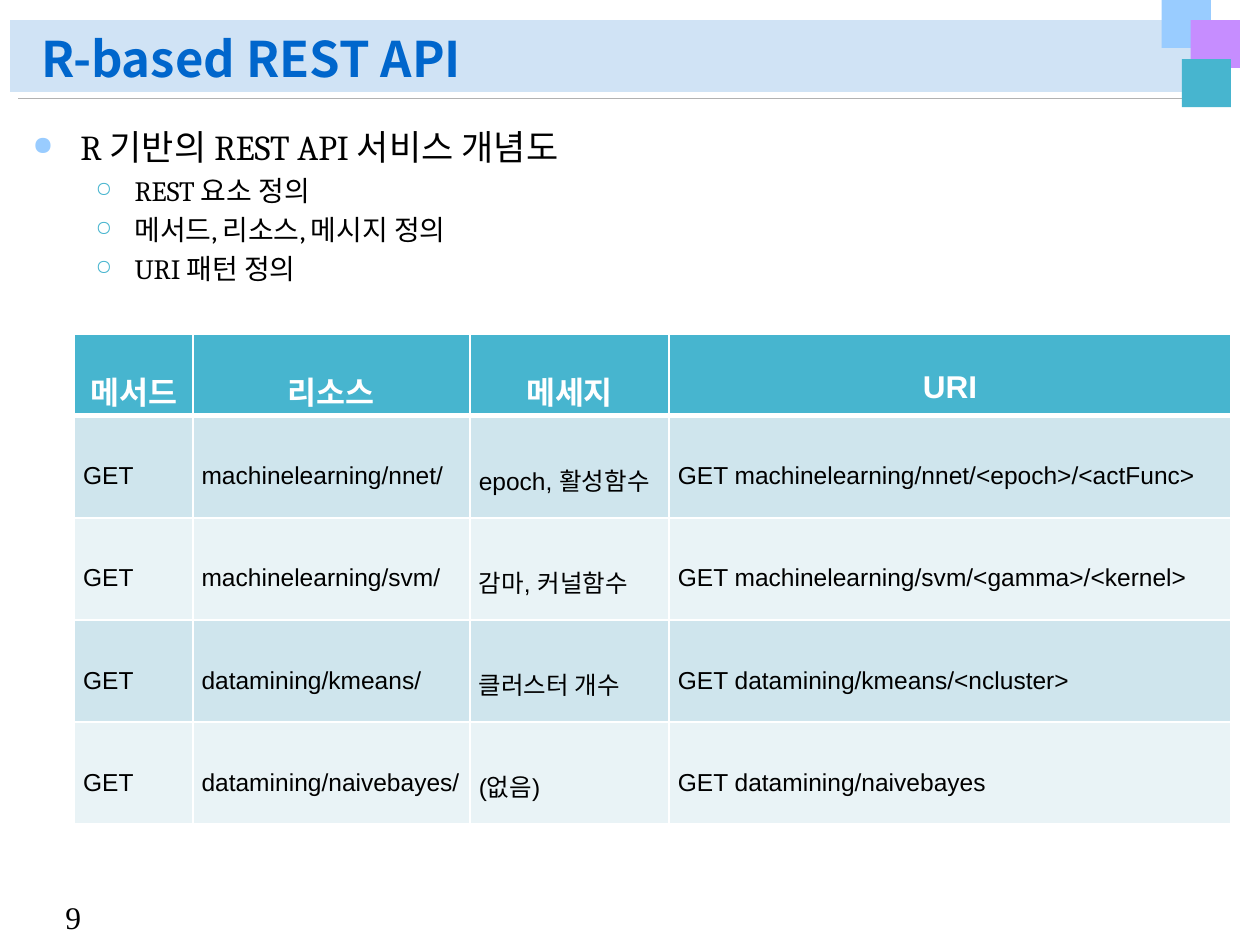
import pptx
import pptx.util
import pptx.dml.color
import pptx.enum.shapes
import pptx.enum.text
import pptx.oxml
import pptx.oxml.ns
from lxml import etree

Inches, Pt = pptx.util.Inches, pptx.util.Pt
qn = pptx.oxml.ns.qn
ALIGN, ANCHOR = pptx.enum.text.PP_ALIGN, pptx.enum.text.MSO_ANCHOR

# Content
TITLE = "R-based REST API"
PAGE = "9"
BULLETS = [
    (0, "R 기반의 REST API 서비스 개념도"),
    (1, "REST 요소 정의"),
    (1, "메서드, 리소스, 메시지 정의"),
    (1, "URI 패턴 정의"),
]
# Per level: bullet, bullet colour, size, left margin, hanging indent
LEVELS = [("●", "99CCFF", 20, 0.38, 0.38), ("○", "47B5CF", 16, 0.81, 0.31)]
ROWS = [
    ("메서드", "리소스", "메세지", "URI"),
    ("GET", "machinelearning/nnet/", "epoch, 활성함수",
     "GET machinelearning/nnet/<epoch>/<actFunc>"),
    ("GET", "machinelearning/svm/", "감마, 커널함수",
     "GET machinelearning/svm/<gamma>/<kernel>"),
    ("GET", "datamining/kmeans/", "클러스터 개수",
     "GET datamining/kmeans/<ncluster>"),
    ("GET", "datamining/naivebayes/", "(없음)", "GET datamining/naivebayes"),
]
COL_WIDTHS = [0.94, 2.2, 1.58, 4.46]
HEADER_HEIGHT, ROW_HEIGHT = 0.65, 0.81  # the header holds a full 1.7-spaced line
HEADER_FILL, BAND_FILLS = "47B5CF", ("CFE5ED", "E9F3F6")
BAND = (0.08, 0.16, 9.69, 0.57, "D0E3F5")
SQUARES = [(9.22, 0, "99CCFF"), (9.45, 0.16, "C68DFF"), (9.38, 0.47, "47B5CF")]


def rgb(color):
    return pptx.dml.color.RGBColor.from_string(color)


def style(p, size, name, color, bold=False):
    font = p.font
    font.size, font.name, font.bold = Pt(size), name, bold
    font.color.rgb = rgb(color)
    props = p._p.get_or_add_pPr().find(qn("a:defRPr"))
    etree.SubElement(props, qn("a:ea"), typeface="Noto Sans CJK KR")


def add_rect(x, y, w, h, color):
    sp = s.shapes.add_shape(pptx.enum.shapes.MSO_SHAPE.RECTANGLE,
                            Inches(x), Inches(y), Inches(w), Inches(h))
    sp.shadow.inherit = False
    sp.fill.solid()
    sp.fill.fore_color.rgb = rgb(color)
    sp.line.fill.background()


def add_text(x, y, w, h, wrap=True):
    tf = s.shapes.add_textbox(Inches(x), Inches(y), Inches(w), Inches(h)).text_frame
    tf.word_wrap = wrap
    return tf


def set_bullet(p, char, color, margin, hanging):
    props = p._p.get_or_add_pPr()
    props.set("marL", str(Inches(margin)))
    props.set("indent", str(-Inches(hanging)))
    bullet = pptx.oxml.parse_xml(
        f'<a:pPr {pptx.oxml.ns.nsdecls("a")}>'
        f'<a:buClr><a:srgbClr val="{color}"/></a:buClr>'
        f'<a:buSzPct val="75000"/><a:buChar char="{char}"/></a:pPr>')
    before = props.find(qn("a:defRPr"))
    for child in list(bullet):
        before.addprevious(child)


def set_borders(cell, top, bottom):
    props = cell._tc.get_or_add_tcPr()
    widths = {"lnL": 1, "lnR": 1, "lnT": top, "lnB": bottom}
    for i, (side, width) in enumerate(widths.items()):
        props.insert(i, pptx.oxml.parse_xml(
            f'<a:{side} {pptx.oxml.ns.nsdecls("a")} w="{Pt(width)}">'
            f'<a:solidFill><a:srgbClr val="FFFFFF"/></a:solidFill></a:{side}>'))


prs = pptx.Presentation()
prs.slide_width, prs.slide_height = Inches(10), Inches(7.5)
s = prs.slides.add_slide(prs.slide_layouts[6])

# Title band, rule and corner squares
add_rect(*BAND)
rule = s.shapes.add_connector(pptx.enum.shapes.MSO_CONNECTOR.STRAIGHT,
                              Inches(9.74), Inches(0.78), Inches(0.14), Inches(0.78))
rule.line.color.rgb = rgb("B2B2B2")
rule.line.width = Pt(0.5)
etree.SubElement(rule._element.spPr, qn("a:effectLst"))
for x, y, color in SQUARES:
    add_rect(x, y, 0.39, 0.38, color)

# Page number
p = add_text(0.42, 7.08, 0.5, 0.4, wrap=False).paragraphs[0]
p.text = PAGE
style(p, 18, "Times New Roman", "000000")

# Title
tf = add_text(0.23, 0.17, 8.98, 0.58)
tf.vertical_anchor = ANCHOR.BOTTOM
p = tf.paragraphs[0]
p.text, p.line_spacing = TITLE, 0.9
style(p, 28, "Noto Sans CJK KR", "0066CC", bold=True)

# Bullets
tf = add_text(0.16, 0.95, 9.65, 2.57)
for i, (level, text) in enumerate(BULLETS):
    char, color, size, margin, hanging = LEVELS[level]
    p = tf.add_paragraph() if i else tf.paragraphs[0]
    p.text, p.level, p.space_before = text, level, Pt(size * 0.2)
    style(p, size, "Cambria", "000000")
    set_bullet(p, char, color, margin, hanging)

# Table
heights = [HEADER_HEIGHT] + [ROW_HEIGHT] * (len(ROWS) - 1)
table = s.shapes.add_table(len(ROWS), len(COL_WIDTHS), Inches(0.59), Inches(2.65),
                           Inches(sum(COL_WIDTHS)), Inches(sum(heights))).table
for column, width in zip(table.columns, COL_WIDTHS):
    column.width = Inches(width)
for r, (texts, height) in enumerate(zip(ROWS, heights)):
    header = r == 0
    table.rows[r].height = Inches(height)
    for c, text in enumerate(texts):
        cell = table.cell(r, c)
        cell.vertical_anchor = ANCHOR.MIDDLE
        cell.margin_left = cell.margin_right = Inches(0.07)
        cell.margin_top = cell.margin_bottom = Inches(0.02)
        cell.fill.solid()
        cell.fill.fore_color.rgb = rgb(HEADER_FILL if header else BAND_FILLS[(r - 1) % 2])
        set_borders(cell, 3 if r == 1 else 1, 3 if header else 1)
        p = cell.text_frame.paragraphs[0]
        p.text, p.line_spacing = text, 1.7
        p.alignment = ALIGN.CENTER if header else ALIGN.LEFT
        style(p, 18 if header else 14, "Arial", "FFFFFF" if header else "000000", header)

prs.save("out.pptx")
